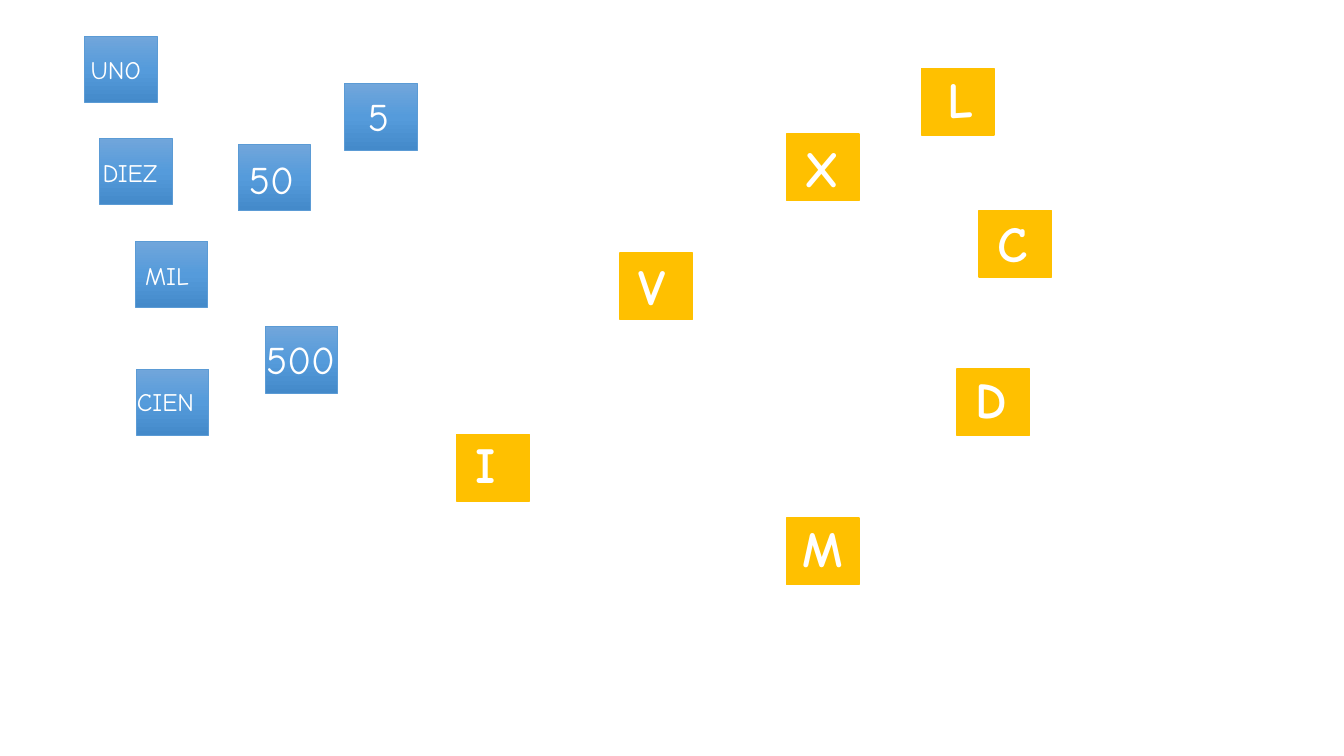
from copy import deepcopy

from pptx import Presentation
from pptx.dml.color import RGBColor
from pptx.enum.shapes import MSO_SHAPE
from pptx.enum.text import MSO_AUTO_SIZE
from pptx.oxml.ns import qn
from pptx.util import Inches, Pt

RECTANGLE = MSO_SHAPE.RECTANGLE
GROW = MSO_AUTO_SIZE.SHAPE_TO_FIT_TEXT
FONT = "Comic Neue"
TILE_WIDTH, TILE_HEIGHT = 0.72, 0.66
COLORS = {
    "amber": "FFC000",
    "blue_top": "71A6DB",
    "blue_middle": "559BDB",
    "blue_bottom": "448ACA",
    "blue_line": "5B9BD5",
    "white": "FFFFFF",
}

# Each entry: text, tile left and top, label left and top.
ROMAN = [
    ("I", 4.53, 4.31, 4.62, 4.25),
    ("X", 7.8, 1.33, 7.88, 1.31),
    ("V", 6.15, 2.51, 6.23, 2.48),
    ("M", 7.8, 5.14, 7.86, 5.08),
    ("D", 9.49, 3.66, 9.58, 3.6),
    ("C", 9.71, 2.09, 9.79, 2.06),
    ("L", 9.14, 0.68, 9.3, 0.63),
]
DIGITS = [
    ("50", 2.36, 1.43, 2.37, 1.49),
    ("5", 3.42, 0.83, 3.55, 0.87),
    ("500", 2.63, 3.24, 2.54, 3.28),
]
WORDS = [
    ("UNO", 0.84, 0.36, 0.8, 0.49, 0.79),
    ("DIEZ", 0.99, 1.37, 0.92, 1.51, 0.86),
    ("MIL", 1.34, 2.39, 1.34, 2.53, 0.7),
    ("CIEN", 1.35, 3.66, 1.26, 3.78, 0.85),
]


def color(name):
    """Return the named colour."""
    return RGBColor.from_string(COLORS[name])


def add_tile(page, left, top, line_color, line_width):
    """Add an outlined tile and return it for filling."""
    tile = page.shapes.add_shape(
        RECTANGLE, Inches(left), Inches(top), Inches(TILE_WIDTH), Inches(TILE_HEIGHT)
    )
    tile.shadow.inherit = False
    tile.line.color.rgb = color(line_color)
    tile.line.width = Pt(line_width)
    return tile


def add_amber_tile(page, left, top):
    """Add a plain amber tile."""
    tile = add_tile(page, left, top, "amber", 1)
    tile.fill.solid()
    tile.fill.fore_color.rgb = color("amber")


def add_blue_tile(page, left, top):
    """Add a tile shaded from light blue down to dark blue."""
    tile = add_tile(page, left, top, "blue_line", 0.5)
    tile.fill.gradient()
    tile.fill.gradient_angle = 270
    stop_list = tile.element.spPr.find(qn("a:gradFill")).find(qn("a:gsLst"))
    stop_list.insert(1, deepcopy(stop_list[0]))
    names = ("blue_top", "blue_middle", "blue_bottom")
    for index, (stop, name) in enumerate(zip(tile.fill.gradient_stops, names)):
        stop.position = index / 2
        stop.color.rgb = color(name)


def add_label(page, text, left, top, width, height, size, bold=False, wrap=True):
    """Add white text over a tile."""
    box = page.shapes.add_textbox(
        Inches(left), Inches(top), Inches(width), Inches(height)
    )
    frame = box.text_frame
    frame.text = text
    frame.word_wrap = wrap
    frame.auto_size = GROW
    font = frame.paragraphs[0].runs[0].font
    font.name = FONT
    font.size = Pt(size)
    font.bold = bold
    font.color.rgb = color("white")


def main():
    """Build the number-matching slide."""
    deck = Presentation()
    deck.slide_width, deck.slide_height = Inches(13.33), Inches(7.5)
    page = deck.slides.add_slide(deck.slide_layouts[6])
    for text, tile_left, tile_top, left, top in ROMAN:
        add_amber_tile(page, tile_left, tile_top)
        add_label(page, text, left, top, 0.55, 0.71, 36, bold=True)
    for text, tile_left, tile_top, left, top in DIGITS:
        add_blue_tile(page, tile_left, tile_top)
        add_label(page, text, left, top, 1.05, 0.57, 28)
    for text, tile_left, tile_top, left, top, width in WORDS:
        add_blue_tile(page, tile_left, tile_top)
        add_label(page, text, left, top, width, 0.4, 18, wrap=False)
    deck.save("out.pptx")


if __name__ == "__main__":
    main()
